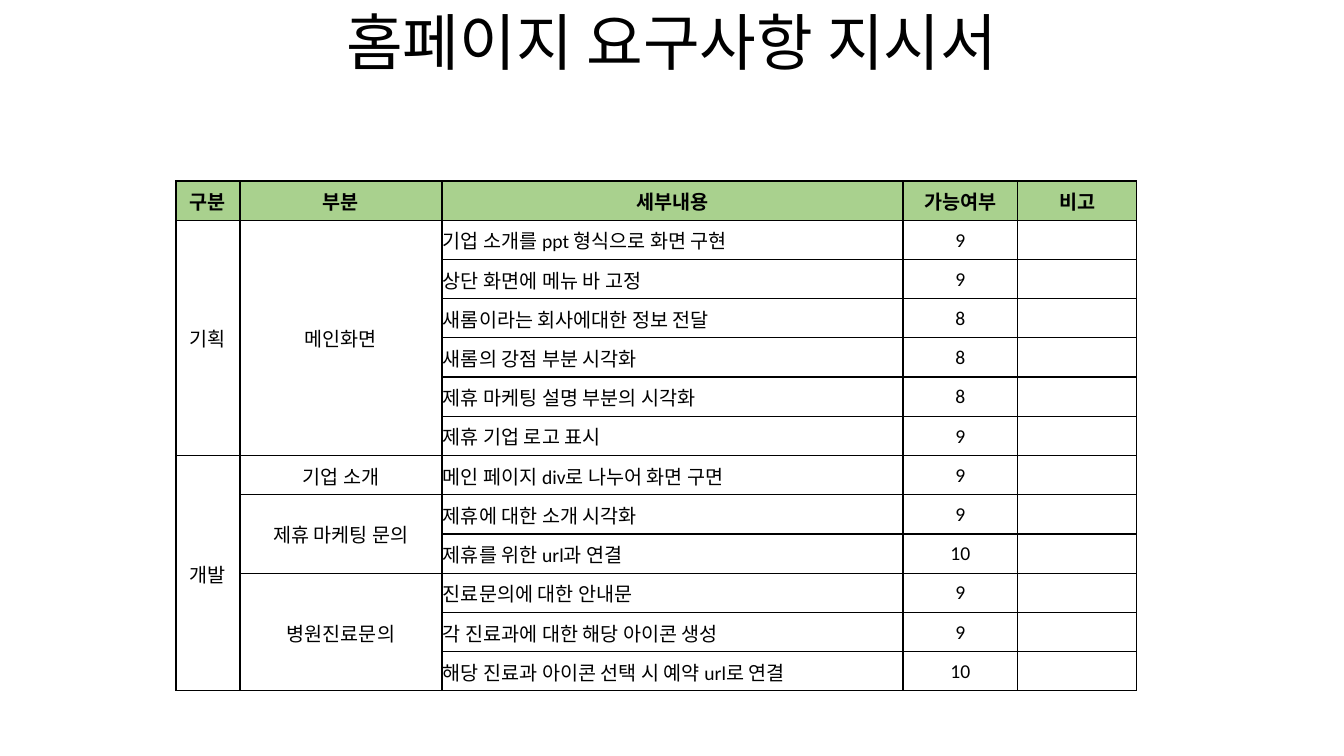
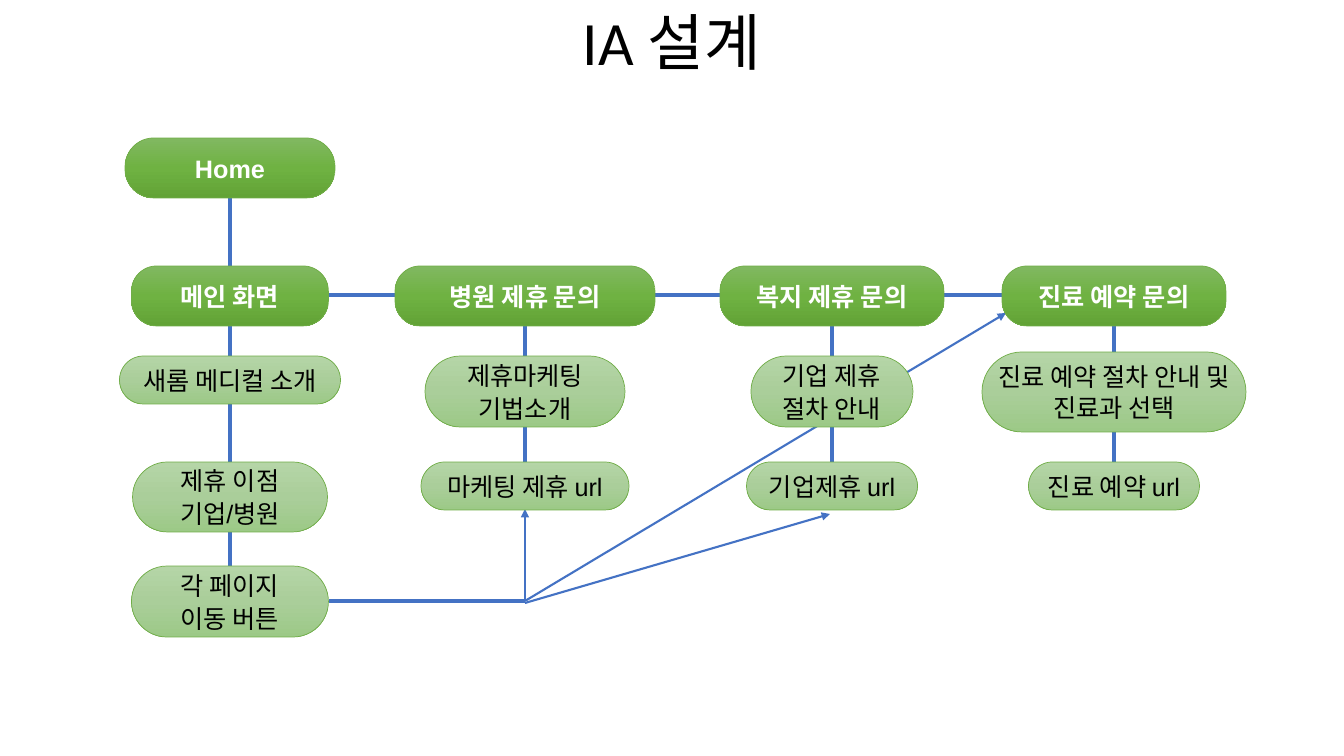
from copy import deepcopy

from pptx import Presentation
from pptx.dml.color import RGBColor
from pptx.enum.shapes import MSO_CONNECTOR as Connector, MSO_SHAPE as Shape
from pptx.enum.text import MSO_ANCHOR as Anchor, PP_ALIGN as Align
from pptx.oxml.ns import qn
from pptx.oxml.xmlchemy import OxmlElement
from pptx.util import Pt

PX = 9071  # EMU in one pixel
BLACK, WHITE, BLUE = "000000", "FFFFFF", "4472C4"
HEADER_GREEN, OUTLINE_GREEN = "A9D18E", "70AD47"
DARK_GREENS = ("81B861", "6FB242", "62A336")
LIGHT_GREENS = ("B5D5A7", "AACE9A", "9CC987")
rgb = RGBColor.from_string


def write(frame, text, size=18, font="Arial", color=BLACK, bold=False,
          align=Align.CENTER, before=0, spacing=1.0):
    """Fill a text frame, one paragraph for each line of text."""
    frame.word_wrap = True
    for index, line in enumerate(text.split("\n")):
        paragraph = frame.add_paragraph() if index else frame.paragraphs[0]
        paragraph.alignment = align
        paragraph.space_before = Pt(before)
        paragraph.line_spacing = spacing
        run = paragraph.add_run()
        run.text = line
        run.font.size, run.font.name, run.font.bold = Pt(size), font, bold
        run.font.color.rgb = rgb(color)


presentation = Presentation()
presentation.slide_width, presentation.slide_height = 1344 * PX, 756 * PX

# Slides with their titles
slides = []
for heading in ("홈페이지 요구사항 지시서", "IA 설계"):
    slide = presentation.slides.add_slide(presentation.slide_layouts[5])
    title = slide.shapes.title
    title.left, title.top, title.width, title.height = 0, 0, 1344 * PX, 92 * PX
    title.text_frame.vertical_anchor = Anchor.MIDDLE
    write(title.text_frame, heading, size=44, font="Calibri", spacing=0.9)
    slides.append(slide)
requirements_slide, structure_slide = slides

# Requirements: section, then part, then details with their scores
headers = ("구분", "부분", "세부내용", "가능여부", "비고")
requirements = {
    "기획": {
        "메인화면": [("기업 소개를 ppt 형식으로 화면 구현", 9),
                 ("상단 화면에 메뉴 바 고정", 9),
                 ("새롬이라는 회사에대한 정보 전달", 8),
                 ("새롬의 강점 부분 시각화", 8),
                 ("제휴 마케팅 설명 부분의 시각화", 8),
                 ("제휴 기업 로고 표시", 9)],
    },
    "개발": {
        "기업 소개": [("메인 페이지 div로 나누어 화면 구면", 9)],
        "제휴 마케팅 문의": [("제휴에 대한 소개 시각화", 9),
                      ("제휴를 위한 url과 연결", 10)],
        "병원진료문의": [("진료문의에 대한 안내문", 9),
                   ("각 진료과에 대한 해당 아이콘 생성", 9),
                   ("해당 진료과 아이콘 선택 시 예약 url로 연결", 10)],
    },
}
rows = [headers]
merges = []  # first row, last row, column
for section, parts in requirements.items():
    section_start = len(rows)
    for part, details in parts.items():
        part_start = len(rows)
        for detail, score in details:
            rows.append((section if len(rows) == section_start else "",
                         part if len(rows) == part_start else "",
                         detail, str(score), ""))
        merges.append((part_start, len(rows) - 1, 1))
    merges.append((section_start, len(rows) - 1, 0))

# Requirements table
column_widths = (64, 202, 461, 115, 119)
table = requirements_slide.shapes.add_table(
    len(rows), len(headers), 176 * PX, 181 * PX,
    sum(column_widths) * PX, 510 * PX).table
table.first_row = table.horz_banding = False
for column, width in zip(table.columns, column_widths):
    column.width = width * PX
for row_index, row in enumerate(rows):
    table.rows[row_index].height = 510 * PX // len(rows)
    for column_index, text in enumerate(row):
        cell = table.cell(row_index, column_index)
        cell.vertical_anchor = Anchor.MIDDLE
        cell.margin_left = cell.margin_right = cell.margin_top = PX
        cell.margin_bottom = 0
        # Borders come before the fill in the cell properties
        properties = cell._tc.get_or_add_tcPr()
        for side in ("a:lnL", "a:lnR", "a:lnT", "a:lnB"):
            border = OxmlElement(side)
            border.set("w", str(Pt(1)))
            fill = OxmlElement("a:solidFill")
            color = OxmlElement("a:srgbClr")
            color.set("val", BLACK)
            fill.append(color)
            border.append(fill)
            properties.append(border)
        if row_index == 0:
            cell.fill.solid()
            cell.fill.fore_color.rgb = rgb(HEADER_GREEN)
        else:
            cell.fill.background()
        if text:
            is_detail = row_index > 0 and column_index == 2
            write(cell.text_frame, text, size=14, font="Calibri",
                  bold=row_index == 0,
                  align=Align.LEFT if is_detail else Align.CENTER)
for first, last, column_index in merges:
    if last > first:
        table.cell(first, column_index).merge(table.cell(last, column_index))

# Lines and arrows of the site structure: x1, y1, x2, y2, points, arrow
centers = (230, 525, 832, 1114)
links = [(525, 601, 1006, 313, 1.5, True),
         (centers[0], 295, centers[3], 295, 3, False),
         (centers[0], 198, centers[0], 566, 3, False)]
links += [(center, 326, center, 462, 3, False) for center in centers[1:]]
links += [(525, 601, 329, 601, 3, False),
          (525, 601, 525, 509, 1.5, True),
          (525, 603, 830, 514, 1.5, True)]
for x1, y1, x2, y2, points, has_arrow in links:
    link = structure_slide.shapes.add_connector(
        Connector.STRAIGHT, x1 * PX, y1 * PX, x2 * PX, y2 * PX)
    link.line.color.rgb = rgb(BLUE)
    link.line.width = Pt(points)
    shape_properties = link.element.spPr
    if has_arrow:
        arrowhead = OxmlElement("a:tailEnd")
        arrowhead.set("type", "triangle")
        shape_properties.find(qn("a:ln")).append(arrowhead)
    shape_properties.append(OxmlElement("a:effectLst"))

# Pages of the site by column: text, top, width, height, corner
site_columns = (
    [("Home", 138, 210, 60, 0.48),
     ("메인 화면", 266, 197, 60, 0.42),
     ("새롬 메디컬 소개", 356, 221, 48, 0.5),
     ("제휴 이점\n기업/병원", 462, 195, 70, 0.5),
     ("각 페이지\n이동 버튼", 566, 197, 71, 0.5)],
    [("병원 제휴 문의", 266, 260, 60, 0.42),
     ("제휴마케팅\n기법소개", 356, 200, 71, 0.5),
     ("마케팅 제휴 url", 462, 208, 48, 0.5)],
    [("복지 제휴 문의", 266, 224, 60, 0.42),
     ("기업 제휴\n절차 안내", 356, 162, 71, 0.5),
     ("기업제휴 url", 462, 171, 48, 0.5)],
    [("진료 예약 문의", 266, 224, 60, 0.42),
     ("진료 예약 절차 안내 및 진료과 선택", 352, 264, 80, 0.5),
     ("진료 예약 url", 462, 171, 48, 0.5)],
)
for center, pages in zip(centers, site_columns):
    for text, top, width, height, corner in pages:
        is_main = corner < 0.5
        page = structure_slide.shapes.add_shape(
            Shape.ROUNDED_RECTANGLE, center * PX - width * PX // 2, top * PX,
            width * PX, height * PX)
        page.adjustments[0] = corner
        page.shadow.inherit = False
        page.line.color.rgb = rgb(OUTLINE_GREEN)
        page.line.width = Pt(0.5)
        # Three-stop gradient from top to bottom
        page.fill.gradient()
        page.fill.gradient_angle = 270
        stop_list = page.element.spPr.find(".//" + qn("a:gsLst"))
        stop_list.insert(1, deepcopy(stop_list[0]))
        greens = DARK_GREENS if is_main else LIGHT_GREENS
        for stop, position, green in zip(page.fill.gradient_stops,
                                         (0, 0.5, 1), greens):
            stop.position = position
            stop.color.rgb = rgb(green)
        frame = page.text_frame
        frame.margin_left = frame.margin_right = 2 * PX
        frame.margin_top = frame.margin_bottom = 2 * PX
        frame.vertical_anchor = Anchor.MIDDLE
        write(frame, text, color=WHITE if is_main else BLACK, bold=is_main,
              before=2)

presentation.save("out.pptx")
